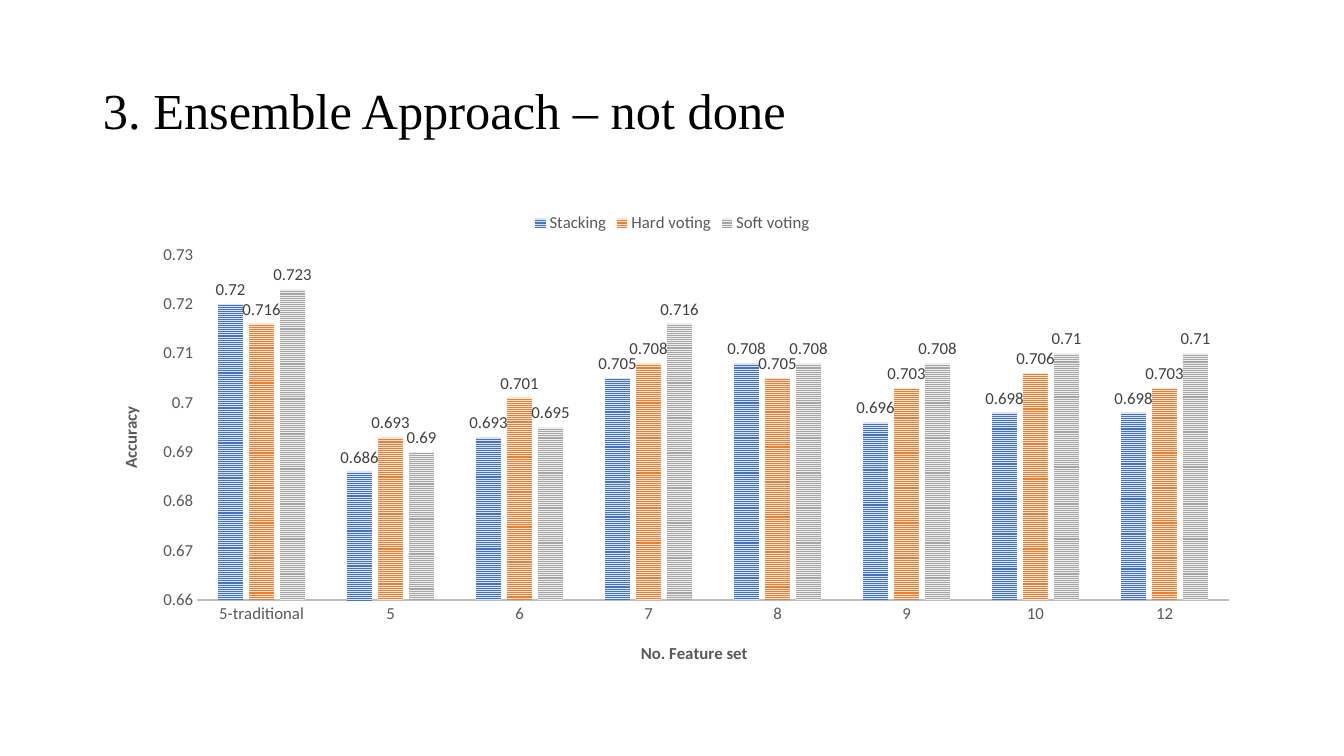
from lxml import etree
from pptx import Presentation
from pptx.chart.data import CategoryChartData
from pptx.dml.color import RGBColor
from pptx.enum.chart import XL_CHART_TYPE, XL_LABEL_POSITION, XL_LEGEND_POSITION, XL_TICK_MARK
from pptx.enum.dml import MSO_PATTERN
from pptx.enum.text import MSO_ANCHOR, PP_ALIGN
from pptx.oxml.ns import qn
from pptx.util import Inches, Pt

COLUMNS = XL_CHART_TYPE.COLUMN_CLUSTERED
OUTSIDE_END = XL_LABEL_POSITION.OUTSIDE_END
LEGEND_TOP = XL_LEGEND_POSITION.TOP
NO_TICK = XL_TICK_MARK.NONE
STRIPES = MSO_PATTERN.NARROW_HORIZONTAL
MIDDLE = MSO_ANCHOR.MIDDLE
LEFT = PP_ALIGN.LEFT

COLORS = {
    "title": "000000", "text": "595959", "label": "404040", "axis": "BFBFBF",
    "Stacking": "4472C4", "Stacking back": "DAE3F3",
    "Hard voting": "ED7D31", "Hard voting back": "FBE5D6",
    "Soft voting": "A5A5A5", "Soft voting back": "EDEDED",
}
FEATURE_SETS = ["5-traditional", "5", "6", "7", "8", "9", "10", "12"]
ACCURACY = {
    "Stacking": [0.72, 0.686, 0.693, 0.705, 0.708, 0.696, 0.698, 0.698],
    "Hard voting": [0.716, 0.693, 0.701, 0.708, 0.705, 0.703, 0.706, 0.703],
    "Soft voting": [0.723, 0.69, 0.695, 0.716, 0.708, 0.708, 0.71, 0.71],
}


def color(name):
    return RGBColor.from_string(COLORS[name])


def set_font(font, size, color_name, name="Calibri", bold=False):
    font.size = Pt(size)
    font.name = name
    font.bold = bold
    font.color.rgb = color(color_name)


def set_layout(element, index, **values):
    for old_layout in element.findall(qn("c:layout")):
        element.remove(old_layout)
    layout = etree.Element(qn("c:layout"))
    manual = etree.SubElement(layout, qn("c:manualLayout"))
    for tag, value in values.items():
        etree.SubElement(manual, qn(f"c:{tag}")).set("val", str(value))
    element.insert(index, layout)


def add_title(slide, text):
    title = slide.shapes.title
    title.left, title.top = Inches(0.92), Inches(0.4)
    title.width, title.height = Inches(11.5), Inches(1.45)
    title.text_frame.vertical_anchor = MIDDLE
    title.text_frame.word_wrap = True
    paragraph = title.text_frame.paragraphs[0]
    paragraph.alignment = LEFT
    paragraph.line_spacing = 0.9
    run = paragraph.add_run()
    run.text = text
    set_font(run.font, 36, "title", "Times New Roman")


def format_axis(axis, title, x, y):
    axis.has_major_gridlines = False
    axis.major_tick_mark = axis.minor_tick_mark = NO_TICK
    set_font(axis.tick_labels.font, 12, "text")
    axis_title = axis.axis_title
    run = axis_title.text_frame.paragraphs[0].add_run()
    run.text = title
    set_font(run.font, 12, "text", bold=True)
    set_layout(axis_title._element, 1, xMode="edge", yMode="edge", x=x, y=y)


def format_series(series):
    fill = series.format.fill
    fill.patterned()
    fill.pattern = STRIPES
    fill.fore_color.rgb = color(series.name)
    fill.back_color.rgb = color(f"{series.name} back")
    series.format.line.fill.background()
    series.invert_if_negative = False
    labels = series.data_labels
    labels.show_value = True
    labels.position = OUTSIDE_END
    set_font(labels.font, 12, "label")


def add_accuracy_chart(slide):
    data = CategoryChartData()
    data.categories = FEATURE_SETS
    for name, values in ACCURACY.items():
        data.add_series(name, values)
    chart = slide.shapes.add_chart(
        COLUMNS, Inches(0.92), Inches(2), Inches(11.5), Inches(4.76), data).chart
    set_font(chart.font, 10, "title")
    chart.has_title = False
    chart.has_legend = True
    chart.legend.position = LEGEND_TOP
    chart.legend.include_in_layout = False
    set_font(chart.legend.font, 12, "text")

    format_axis(chart.category_axis, "No. Feature set", 0.47, 0.91)
    category_line = chart.category_axis.format.line
    category_line.color.rgb = color("axis")
    category_line.width = Pt(1.5)

    value_axis = chart.value_axis
    format_axis(value_axis, "Accuracy", 0.02, 0.42)
    value_axis.format.line.fill.background()
    value_axis.minimum_scale, value_axis.maximum_scale = 0.66, 0.73
    value_axis.major_unit = 0.01

    plot = chart.plots[0]
    plot.gap_width, plot.overlap = 164, -22
    plot.vary_by_categories = False
    for series in plot.series:
        format_series(series)
    set_layout(plot._element.getparent(), 0, layoutTarget="inner", xMode="edge",
               yMode="edge", x=0.09, y=0.11, w=0.89, h=0.72)


def main():
    presentation = Presentation()
    presentation.slide_width = Inches(13.33)
    presentation.slide_height = Inches(7.5)
    slide = presentation.slides.add_slide(presentation.slide_layouts[5])
    add_title(slide, "3. Ensemble Approach – not done")
    add_accuracy_chart(slide)
    presentation.save("out.pptx")


if __name__ == "__main__":
    main()
